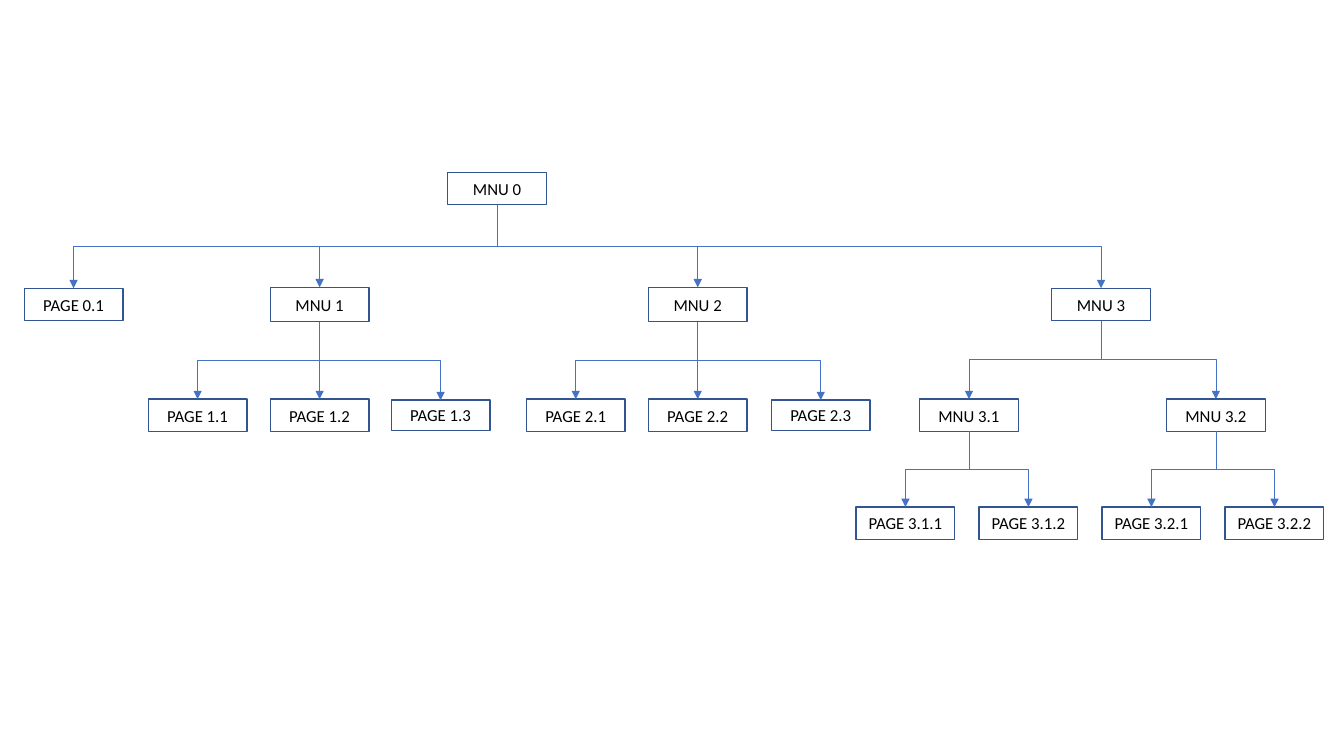
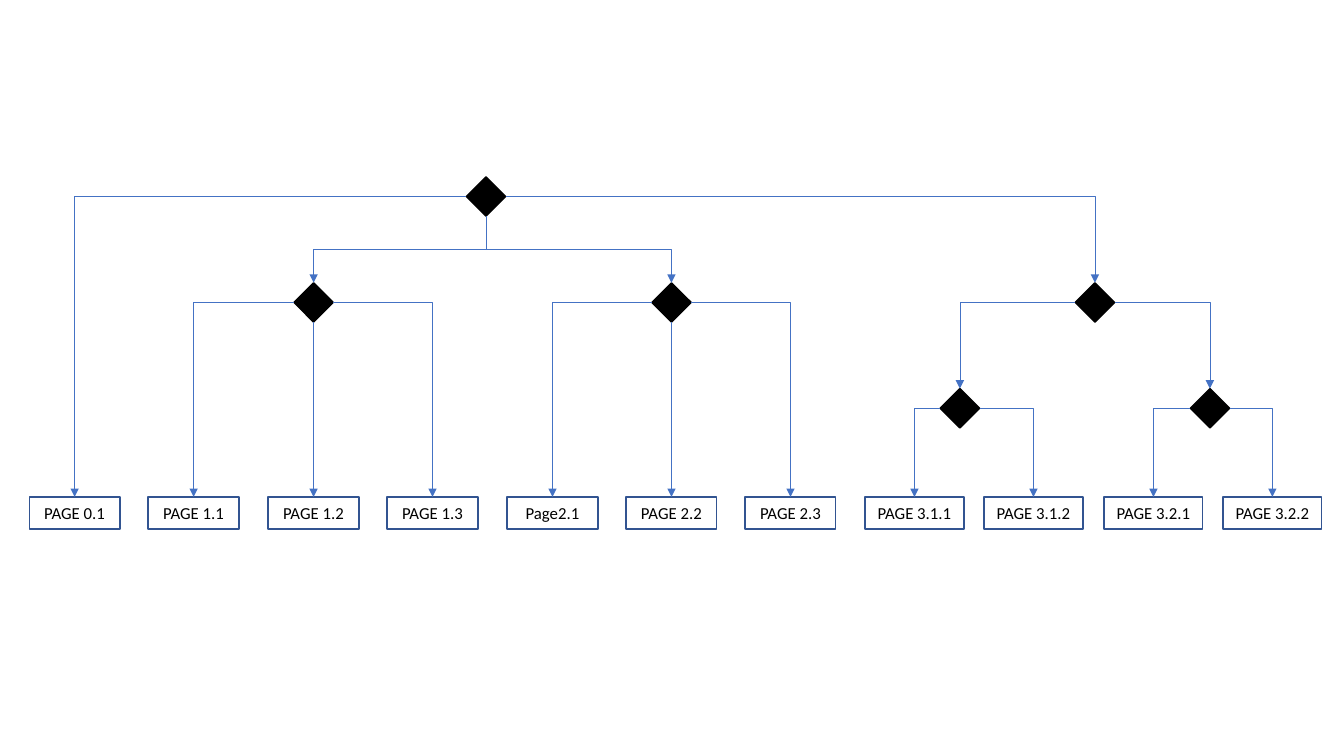
"""Draw a menu tree and its decision-point version on two slides."""
from dataclasses import dataclass
from enum import IntEnum

from lxml import etree
from pptx import Presentation
from pptx import util as u
from pptx.dml import color
from pptx.enum import shapes, text
from pptx.oxml import ns

COLORS = {"border": "325491", "arrow": "4472C4", "ink": "000000"}
FONT = "Calibri"
BOX_W, BOX_H = 0.98, 0.32
DIAMOND = 0.39


class Site(IntEnum):
    """Connection sites of a rectangle or diamond."""
    TOP = 0
    LEFT = 1
    BOTTOM = 2
    RIGHT = 3


@dataclass(frozen=True)
class Node:
    """A box or decision point, placed by its centre in inches."""
    name: str
    x: float
    y: float
    parent: str = ""
    leaves_by: Site = Site.BOTTOM
    w: float = BOX_W
    h: float = BOX_H
    decision: bool = False

    def site(self, site: Site) -> tuple[float, float]:
        """Return the position of a connection site."""
        dx = {Site.LEFT: -1, Site.RIGHT: 1}.get(site, 0)
        dy = {Site.TOP: -1, Site.BOTTOM: 1}.get(site, 0)
        return self.x + dx * self.w / 2, self.y + dy * self.h / 2


def rgb(key: str) -> color.RGBColor:
    """Look up a colour."""
    return color.RGBColor.from_string(COLORS[key])


def put_text(sp, label: str, *, size: int = 12, ink: str = "ink") -> None:
    """Write one centred line of text into a shape."""
    tf = sp.text_frame
    tf.word_wrap = True
    tf.vertical_anchor = text.MSO_ANCHOR.MIDDLE
    p = tf.paragraphs[0]
    p.alignment = text.PP_ALIGN.CENTER
    r = p.add_run()
    r.text = label
    r.font.name, r.font.size = FONT, u.Pt(size)
    r.font.color.rgb = rgb(ink)


def draw_node(s, node: Node):
    """Draw a labelled box or a filled diamond."""
    kind = shapes.MSO_SHAPE.DIAMOND if node.decision else shapes.MSO_SHAPE.RECTANGLE
    sp = s.shapes.add_shape(kind, u.Inches(node.x - node.w / 2), u.Inches(node.y - node.h / 2),
                            u.Inches(node.w), u.Inches(node.h))
    sp.shadow.inherit = False
    sp.line.width = u.Pt(1)
    sp.line.color.rgb = rgb("ink" if node.decision else "border")
    if node.decision:
        sp.fill.solid()
        sp.fill.fore_color.rgb = rgb("ink")
    else:
        sp.fill.background()
        put_text(sp, node.name)
    return sp


def draw_arrow(s, parent: Node, child: Node, parent_sp, child_sp) -> None:
    """Draw an elbow arrow from a parent to the top of its child."""
    x1, y1 = parent.site(child.leaves_by)
    x2, y2 = child.site(Site.TOP)
    w, h = abs(x2 - x1), y2 - y1
    cxn = s.shapes.add_connector(shapes.MSO_CONNECTOR.ELBOW, 0, 0, 0, 0)
    cxn.begin_connect(parent_sp, child.leaves_by.value)
    cxn.end_connect(child_sp, Site.TOP.value)
    spPr = cxn._element.spPr
    if child.leaves_by == Site.BOTTOM:
        w, h = h, w
        turn = {"rot": "16200000", "flipH": "1"} if x2 > x1 else {"rot": "5400000"}
    else:
        spPr.find(ns.qn("a:prstGeom")).set("prst", "bentConnector2")
        turn = {"rot": "10800000", "flipV": "1"} if x2 < x1 else {}
    cxn.left, cxn.top = u.Inches((x1 + x2 - w) / 2), u.Inches((y1 + y2 - h) / 2)
    cxn.width, cxn.height = u.Inches(w), u.Inches(h)
    xfrm = spPr.find(ns.qn("a:xfrm"))
    xfrm.attrib.clear()
    for key, value in turn.items():
        xfrm.set(key, value)
    cxn.line.width = u.Pt(0.5)
    cxn.line.color.rgb = rgb("arrow")
    etree.SubElement(spPr.find(ns.qn("a:ln")), ns.qn("a:tailEnd"), type="triangle")
    etree.SubElement(spPr, ns.qn("a:effectLst"))


def draw_tree(prs, nodes: list[Node]) -> None:
    """Add a slide with all nodes and the arrows between them."""
    s = prs.slides.add_slide(prs.slide_layouts[6])
    by_name = {node.name: node for node in nodes}
    drawn = {node.name: draw_node(s, node) for node in nodes}
    for node in nodes:
        if node.parent:
            draw_arrow(s, by_name[node.parent], node, drawn[node.parent], drawn[node.name])


def menu_tree() -> list[Node]:
    """Return the menus and pages, one row per level."""
    root, menus, pages, subpages = 1.87, 3.02, 4.12, 5.19
    return [
        Node("MNU 0", 4.93, root),
        Node("PAGE 0.1", 0.73, menus, "MNU 0"),
        Node("MNU 1", 3.17, menus, "MNU 0", h=0.34),
        Node("MNU 2", 6.92, menus, "MNU 0", h=0.34),
        Node("MNU 3", 10.92, menus, "MNU 0"),
        Node("PAGE 1.1", 1.96, pages, "MNU 1"),
        Node("PAGE 1.2", 3.17, pages, "MNU 1"),
        Node("PAGE 1.3", 4.37, pages, "MNU 1", h=0.3),
        Node("PAGE 2.1", 5.71, pages, "MNU 2"),
        Node("PAGE 2.2", 6.92, pages, "MNU 2"),
        Node("PAGE 2.3", 8.14, pages, "MNU 2", h=0.3),
        Node("MNU 3.1", 9.61, pages, "MNU 3"),
        Node("MNU 3.2", 12.06, pages, "MNU 3"),
    ] + [Node(f"PAGE 3.{1 + i // 2}.{1 + i % 2}", 8.98 + 1.22 * i, subpages, f"MNU 3.{1 + i // 2}")
         for i in range(4)]


def decision_tree() -> list[Node]:
    """Return the decision points and the row of pages they lead to."""
    decisions = [
        ("Choice 0", 4.82, 0, "", Site.BOTTOM),
        ("Choice 1", 3.11, 1, "Choice 0", Site.BOTTOM),
        ("Choice 2", 6.66, 1, "Choice 0", Site.BOTTOM),
        ("Choice 3", 10.86, 1, "Choice 0", Site.RIGHT),
        ("Choice 3.1", 9.52, 2, "Choice 3", Site.LEFT),
        ("Choice 3.2", 12, 2, "Choice 3", Site.RIGHT),
    ]
    pages = [
        ("PAGE 0.1", "0", Site.LEFT),
        ("PAGE 1.1", "1", Site.LEFT),
        ("PAGE 1.2", "1", Site.BOTTOM),
        ("PAGE 1.3", "1", Site.RIGHT),
        ("Page2.1", "2", Site.LEFT),
        ("PAGE 2.2", "2", Site.BOTTOM),
        ("PAGE 2.3", "2", Site.RIGHT),
        ("PAGE 3.1.1", "3.1", Site.LEFT),
        ("PAGE 3.1.2", "3.1", Site.RIGHT),
        ("PAGE 3.2.1", "3.2", Site.LEFT),
        ("PAGE 3.2.2", "3.2", Site.RIGHT),
    ]
    first, last = 0.29, 12.13
    pitch = (last - first) / (len(pages) - 1)
    nodes = [Node(name, x, 1.95 + 1.05 * level, parent, site, DIAMOND, DIAMOND, True)
             for name, x, level, parent, site in decisions]
    for i, (name, choice, site) in enumerate(pages):
        w = BOX_W if "." in choice else 0.9
        x = round(first + pitch * i + w / 2, 2)
        nodes.append(Node(name, x, 5.09, f"Choice {choice}", site, w))
    return nodes


def main() -> None:
    """Build and save the presentation."""
    prs = Presentation()
    prs.slide_width, prs.slide_height = u.Inches(13.33), u.Inches(7.5)
    for nodes in (menu_tree(), decision_tree()):
        draw_tree(prs, nodes)
    prs.save("out.pptx")


main()
